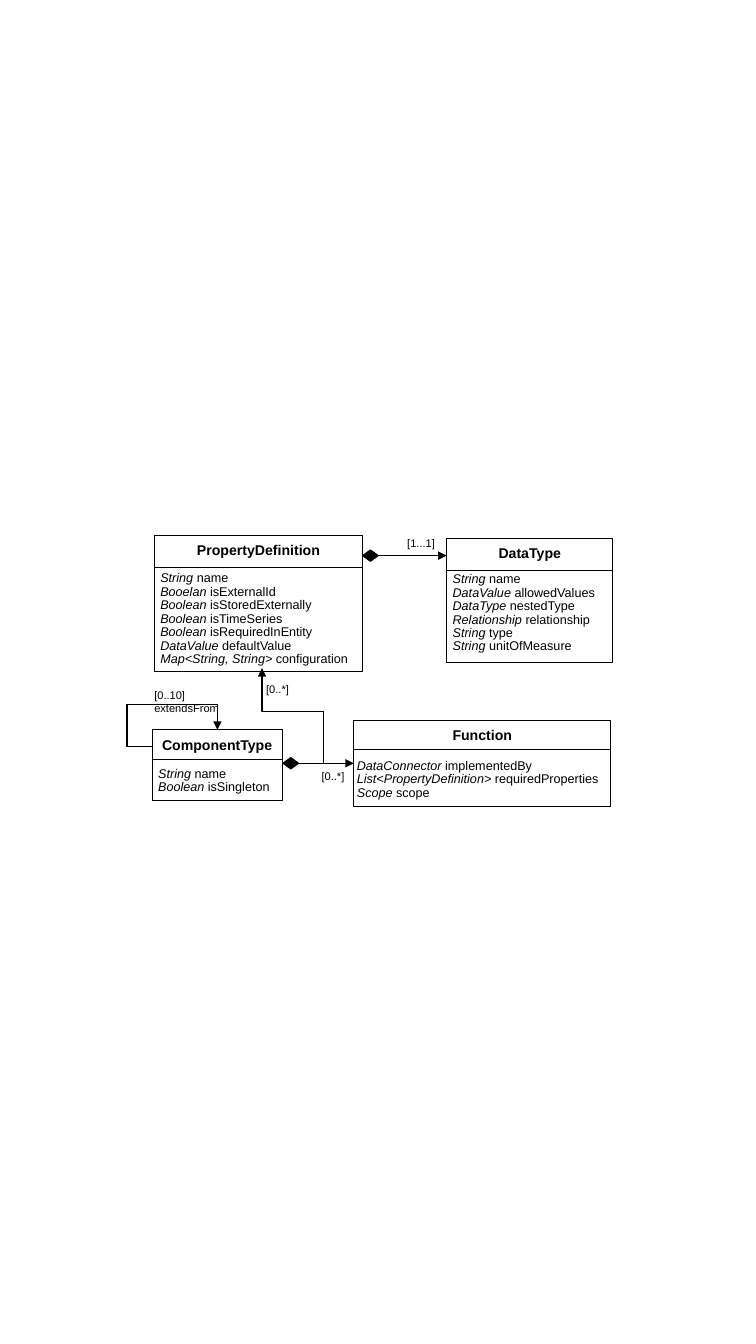
from collections import namedtuple
from lxml.etree import SubElement
from pptx import Presentation
from pptx.dml.color import RGBColor
from pptx.enum.shapes import MSO_CONNECTOR, MSO_SHAPE
from pptx.enum.text import MSO_ANCHOR, PP_ALIGN
from pptx.oxml.ns import qn
from pptx.util import Pt

BLACK = RGBColor(0, 0, 0)
WHITE = RGBColor(255, 255, 255)
FONT = "Arial"
TITLE_SIZE, ATTRIBUTE_SIZE, LABEL_SIZE = 10.1, 9, 7.9
TIGHT_SPACING, ATTRIBUTE_GAP = 0.6, 3.1
BOX_LINE, ARROW_LINE = 0.75, 1

Box = namedtuple("Box", "left top width height")


def add_text_frame(page, box, inset_x=0, inset_y=0):
    frame = page.shapes.add_textbox(*map(Pt, box)).text_frame
    frame.word_wrap = True
    frame.vertical_anchor = MSO_ANCHOR.TOP
    frame.margin_left = frame.margin_right = Pt(inset_x)
    frame.margin_top = frame.margin_bottom = Pt(inset_y)
    return frame


def set_font(para, size, bold=False):
    para.font.name = FONT
    para.font.size = Pt(size)
    para.font.bold = bold
    para.font.color.rgb = BLACK


def add_filled_shape(page, kind, box, fill, line_width):
    shape = page.shapes.add_shape(kind, *map(Pt, box))
    shape.shadow.inherit = False
    shape.fill.solid()
    shape.fill.fore_color.rgb = fill
    shape.line.color.rgb = BLACK
    shape.line.width = Pt(line_width)


def add_line(page, start, end, width, arrow=False, bend=None):
    kind = MSO_CONNECTOR.ELBOW if bend else MSO_CONNECTOR.STRAIGHT
    line = page.shapes.add_connector(kind, *map(Pt, (*start, *end)))
    line.line.color.rgb = BLACK
    line.line.width = Pt(width)
    properties = line._element.spPr
    if bend:
        geometry = properties.find(qn("a:prstGeom"))
        geometry.set("prst", "bentConnector4")
        guides = geometry.get_or_add_avLst()
        for number, (first, last, corner) in enumerate(zip(start, end, bend), 1):
            ratio = round((corner - first) / (last - first) * 100000)
            SubElement(guides, qn("a:gd"), name=f"adj{number}", fmla=f"val {ratio}")
    if arrow:
        SubElement(properties.find(qn("a:ln")), qn("a:tailEnd"), type="triangle")
    SubElement(properties, qn("a:effectLst"))


def add_class(page, box, title, attributes, rule_offset, text_offset, indent=0):
    add_filled_shape(page, MSO_SHAPE.RECTANGLE, box, WHITE, BOX_LINE)
    title_box = Box(box.left, box.top + 6.5, box.width, 11.5)
    para = add_text_frame(page, title_box, 4.3, 2.2).paragraphs[0]
    para.text = title
    para.alignment = PP_ALIGN.CENTER
    para.line_spacing = TIGHT_SPACING
    set_font(para, TITLE_SIZE, bold=True)

    rule = box.top + rule_offset
    add_line(page, (box.left, rule), (box.left + box.width, rule), BOX_LINE)

    text_box = Box(box.left + indent, box.top + text_offset,
                   box.width + 5, box.height - text_offset)
    frame = add_text_frame(page, text_box, 4.3, 2.2)
    for index, attribute in enumerate(attributes):
        para = frame.add_paragraph() if index else frame.paragraphs[0]
        para.line_spacing = TIGHT_SPACING
        para.space_before = Pt(ATTRIBUTE_GAP if index else 0)
        set_font(para, ATTRIBUTE_SIZE)
        type_name, space, name = attribute.rpartition(" ")
        span = para.add_run()
        span.text = type_name + space
        span.font.italic = True
        para.add_run().text = name


def add_label(page, box, text):
    para = add_text_frame(page, box).paragraphs[0]
    para.text = text
    set_font(para, LABEL_SIZE)


def add_diamond(page, center_x, center_y):
    width, height = 10.8, 7.9
    box = Box(center_x - width / 2, center_y - height / 2, width, height)
    add_filled_shape(page, MSO_SHAPE.DIAMOND, box, BLACK, ARROW_LINE)


def add_relations(page, property_box, component_box, function_box, data_box):
    loop_start = (component_box.left, component_box.top + 12.2)
    loop_end = (component_box.left + 46.6, component_box.top)
    add_line(page, loop_start, loop_end, ARROW_LINE, True,
             bend=(component_box.left - 18, component_box.top - 18))
    add_label(page, Box(property_box.left, 491.8, 52.6, 27.4), "[0..10]\vextendsFrom")

    fork = (213.1, 545.2)
    property_end = (187.2, property_box.top + property_box.height - 2.2)
    add_line(page, fork, property_end, ARROW_LINE, True, bend=(231.1, 508.3))
    add_line(page, fork, (function_box.left, fork[1]), ARROW_LINE, True)
    add_diamond(page, fork[0] - 5.4, fork[1])

    data_start = (270, 396.9)
    add_line(page, data_start, (data_box.left, data_start[1]), ARROW_LINE, True)
    add_diamond(page, data_start[0] - 5.4, data_start[1])

    for left, top, text in ((190.1, 487.4, "[0..*]"), (229.7, 549.4, "[0..*]"),
                            (290.9, 383, "[1...1]")):
        add_label(page, Box(left, top, 35.3, 10.8), text)


def add_class_diagram(page):
    property_box = Box(110.2, 382.3, 149, 97.2)
    component_box = Box(108.7, 521.3, 92.9, 50.4)
    function_box = Box(252.7, 514.8, 183.6, 61.2)
    data_box = Box(319, 384.5, 118.8, 88.6)
    add_class(page, property_box, "PropertyDefinition", (
        "String name", "Booelan isExternalId", "Boolean isStoredExternally",
        "Boolean isTimeSeries", "Boolean isRequiredInEntity",
        "DataValue defaultValue", "Map<String, String> configuration"), 23, 26.7)
    add_class(page, component_box, "ComponentType",
              ("String name", "Boolean isSingleton"), 20.9, 27.4)
    add_class(page, function_box, "Function", (
        "DataConnector implementedBy",
        "List<PropertyDefinition> requiredProperties", "Scope scope"),
        20.9, 28.1, indent=-2.1)
    add_class(page, data_box, "DataType", (
        "String name", "DataValue allowedValues", "DataType nestedType",
        "Relationship relationship", "String type", "String unitOfMeasure"), 23, 25.2)
    add_relations(page, property_box, component_box, function_box, data_box)


deck = Presentation()
deck.slide_width, deck.slide_height = Pt(540), Pt(960)
add_class_diagram(deck.slides.add_slide(deck.slide_layouts[6]))
deck.save("out.pptx")
